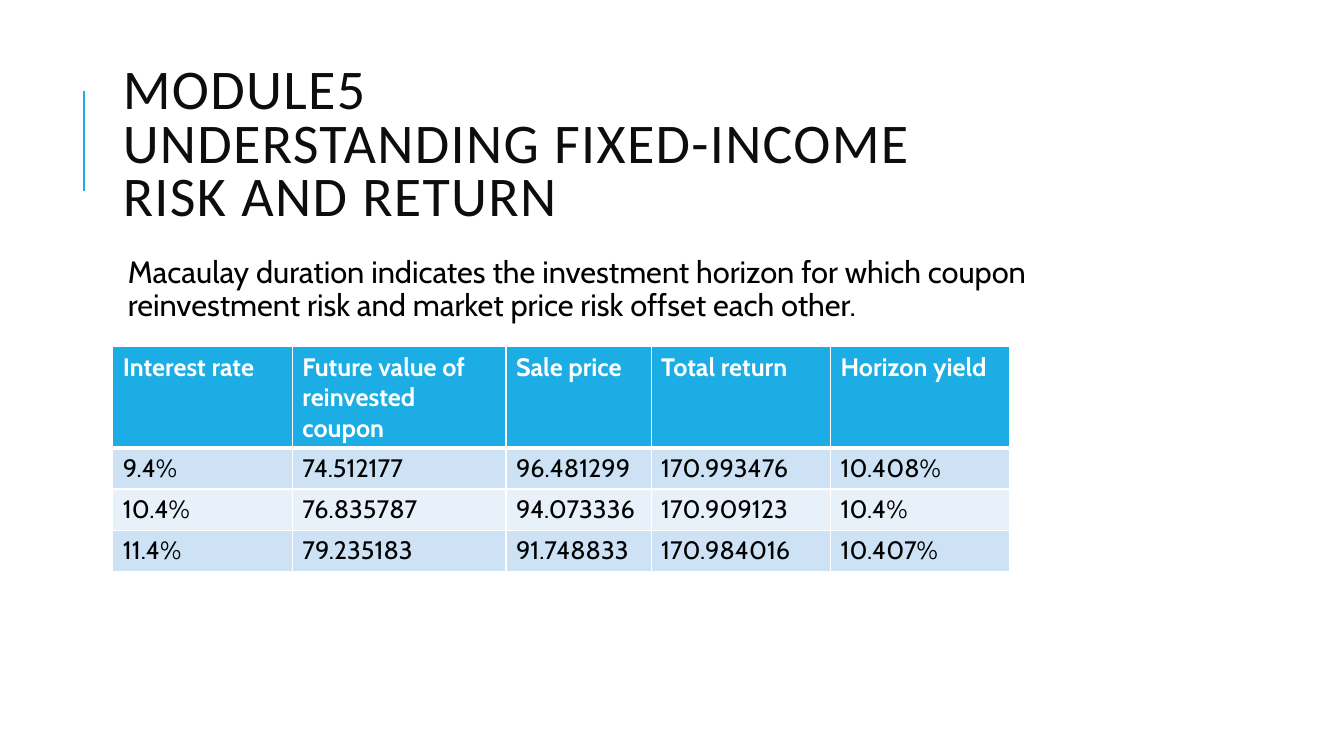
from lxml import etree
from pptx import Presentation
from pptx.dml.color import RGBColor
from pptx.enum.shapes import MSO_CONNECTOR
from pptx.enum.text import MSO_ANCHOR
from pptx.oxml.ns import qn
from pptx.util import Inches, Pt

STRAIGHT = MSO_CONNECTOR.STRAIGHT
TOP, MIDDLE = MSO_ANCHOR.TOP, MSO_ANCHOR.MIDDLE

TITLE_LINES = ["MODULE5", "UNDERSTANDING FIXED-INCOME", "RISK AND RETURN"]
STATEMENT = ("Macaulay duration indicates the investment horizon for which coupon "
             "reinvestment risk and market price risk offset each other.")
YIELD_ROWS = [
    ["Interest rate", "Future value of reinvested coupon", "Sale price",
     "Total return", "Horizon yield"],
    ["9.4%", "74.512177", "96.481299", "170.993476", "10.408%"],
    ["10.4%", "76.835787", "94.073336", "170.909123", "10.4%"],
    ["11.4%", "79.235183", "91.748833", "170.984016", "10.407%"],
]


def color(hex_value):
    return RGBColor.from_string(hex_value)


class SlideBuilder:
    """Holds the style and the slide; lengths are percent of the slide's size."""

    ACCENT, WHITE, BLACK, TITLE_INK = "1CADE4", "FFFFFF", "000000", "0D0D0D"
    BANDS = ["CDE3F5", "E8F1FA"]
    TITLE_FONT, BODY_FONT = "Calibri", "Cabin"

    def __init__(self, presentation):
        self.width = presentation.slide_width
        self.height = presentation.slide_height
        self.slide = presentation.slides.add_slide(presentation.slide_layouts[6])

    def across(self, percent):
        return round(self.width * percent / 100)

    def down(self, percent):
        return round(self.height * percent / 100)

    def box(self, left, top, width, height):
        return self.across(left), self.down(top), self.across(width), self.down(height)

    def add_run(self, paragraph, text, font_name, size, ink, bold=False):
        run = paragraph.add_run()
        run.text = text
        run.font.name = font_name
        run.font.size = Pt(size)
        run.font.bold = bold
        run.font.color.rgb = color(ink)
        return run

    def text_frame(self, box, anchor, inset):
        frame = self.slide.shapes.add_textbox(*self.box(*box)).text_frame
        frame.word_wrap = True
        frame.vertical_anchor = anchor
        frame.margin_left = frame.margin_right = Inches(inset)
        frame.margin_top = frame.margin_bottom = Inches(0.05)
        return frame

    def title(self, lines, box):
        paragraph = self.text_frame(box, MIDDLE, 0.1).paragraphs[0]
        paragraph.line_spacing = 0.8
        for index, line in enumerate(lines):
            if index:
                paragraph.add_line_break()
            run = self.add_run(paragraph, line, self.TITLE_FONT, 40, self.TITLE_INK)
            run.font._element.set("spc", "100")

    def statement(self, text, box):
        paragraph = self.text_frame(box, TOP, 0.05).paragraphs[0]
        paragraph.line_spacing = 0.9
        paragraph.space_after = Pt(2)
        properties = paragraph._p.get_or_add_pPr()
        properties.set("marL", str(Inches(0.1)))
        properties.set("indent", "0")
        self.add_run(paragraph, text, self.BODY_FONT, 22, self.BLACK)

    def vertical_rule(self, left, top, bottom):
        x = self.across(left)
        rule = self.slide.shapes.add_connector(
            STRAIGHT, x, self.down(bottom), x, self.down(top))
        rule.line.color.rgb = color(self.ACCENT)
        rule.line.width = Pt(1.5)
        etree.SubElement(rule._element.spPr, qn("a:effectLst"))

    def cell_borders(self, cell, top, bottom):
        """Draw white borders; the side borders are one point wide."""
        properties = cell._tc.get_or_add_tcPr()
        edges = [("a:lnL", 1), ("a:lnR", 1), ("a:lnT", top), ("a:lnB", bottom)]
        for position, (tag, points) in enumerate(edges):
            border = etree.Element(qn(tag), w=str(Pt(points)))
            fill = etree.SubElement(border, qn("a:solidFill"))
            etree.SubElement(fill, qn("a:srgbClr"), val=self.WHITE)
            properties.insert(position, border)

    def table(self, rows, left, top, column_widths, row_heights):
        box = self.box(left, top, sum(column_widths), sum(row_heights))
        table = self.slide.shapes.add_table(len(rows), len(column_widths), *box).table
        for column, width in zip(table.columns, column_widths):
            column.width = self.across(width)
        for row_index, values in enumerate(rows):
            table.rows[row_index].height = self.down(row_heights[row_index])
            header = row_index == 0
            fill = self.ACCENT if header else self.BANDS[(row_index - 1) % 2]
            ink = self.WHITE if header else self.BLACK
            for column_index, value in enumerate(values):
                cell = table.cell(row_index, column_index)
                cell.fill.solid()
                cell.fill.fore_color.rgb = color(fill)
                self.cell_borders(cell, top=3 if row_index == 1 else 1,
                                  bottom=3 if header else 1)
                self.add_run(cell.text_frame.paragraphs[0], value,
                             self.BODY_FONT, 18, ink, bold=header)


def main():
    presentation = Presentation()
    presentation.slide_width = Inches(13.33)
    presentation.slide_height = Inches(7.5)

    builder = SlideBuilder(presentation)
    left, width = 8.4, 79.75
    builder.vertical_rule(6.25, top=12, bottom=25.33)
    builder.title(TITLE_LINES, (left, 8.53, width, 21.87))
    builder.statement(STATEMENT, (left, 33.33, width, 58.67))
    builder.table(YIELD_ROWS, left, 45.87,
                  column_widths=[13.35, 15.9, 10.8, 13.35, 13.35],
                  row_heights=[13.4] + [5.43] * 3)
    presentation.save("out.pptx")


if __name__ == "__main__":
    main()
